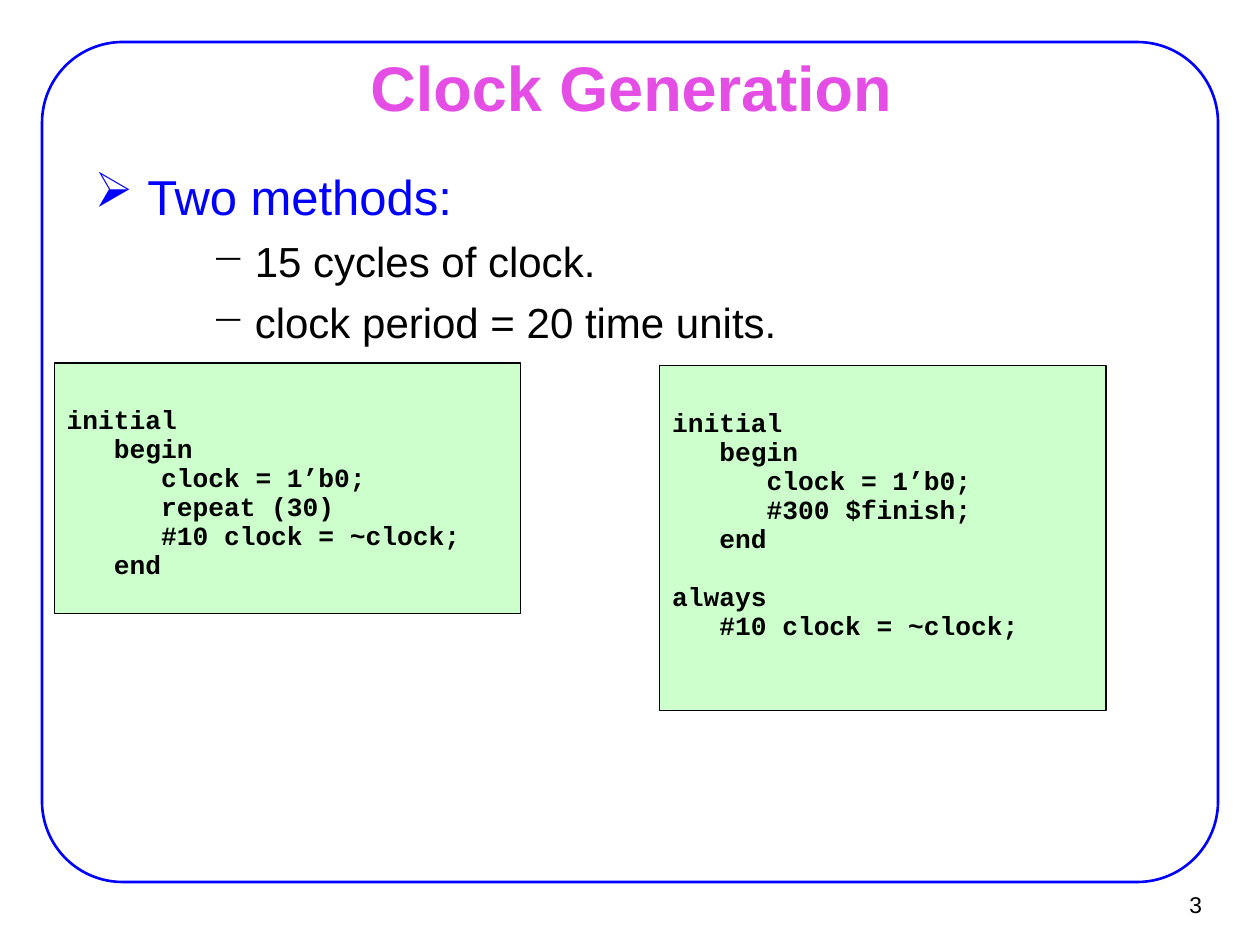
import dataclasses

import lxml.etree
import pptx
import pptx.dml.color
import pptx.enum.shapes
import pptx.enum.text
import pptx.oxml.ns
import pptx.util

Pt = pptx.util.Pt
Align = pptx.enum.text.PP_ALIGN
Anchor = pptx.enum.text.MSO_ANCHOR
Shape = pptx.enum.shapes.MSO_SHAPE


@dataclasses.dataclass(frozen=True)
class Theme:
    """Colours, fonts and type sizes of the slide."""
    frame: str = "0000FF"
    title: str = "E44EE4"
    heading: str = "0000FF"
    text: str = "000000"
    code_fill: str = "CCFFCC"
    sans: str = "Arial"
    mono: str = "Courier New"
    title_size: float = 36
    heading_size: float = 28
    item_size: float = 24
    code_size: float = 15
    number_size: float = 13
    code_leading: float = 16.57
    code_indent: float = 27


THEME = Theme()


def rgb(value):
    """Return a colour object for a hex string."""
    return pptx.dml.color.RGBColor.from_string(value)


def add_run(paragraph, text, size, color, font=THEME.sans, bold=False):
    """Append one formatted run to a paragraph."""
    run = paragraph.add_run()
    run.text = text
    run.font.name = font
    run.font.size = Pt(size)
    run.font.bold = bold
    run.font.color.rgb = rgb(color)


def set_frame(shape, insets, anchor, wrap=True):
    """Set insets, anchor and wrapping, and return the text frame."""
    frame = shape.text_frame
    frame.word_wrap = wrap
    frame.auto_size = pptx.enum.text.MSO_AUTO_SIZE.NONE
    frame.vertical_anchor = anchor
    frame.margin_left = frame.margin_right = Pt(insets[0])
    frame.margin_top = frame.margin_bottom = Pt(insets[1])
    return frame


def set_indent(paragraph, left, hanging=0, bullet=None):
    """Set the left indent, the hanging indent and the bullet."""
    properties = paragraph._p.get_or_add_pPr()
    properties.set("marL", str(Pt(left)))
    properties.set("indent", str(-Pt(hanging)))
    if bullet:
        mark = lxml.etree.SubElement(properties, pptx.oxml.ns.qn("a:buChar"))
        mark.set("char", bullet)


def next_paragraph(frame, index):
    """Return the first paragraph, or a new one after it."""
    return frame.add_paragraph() if index else frame.paragraphs[0]


def add_box(slide, kind, bounds, line_width, line_color, fill=None):
    """Add an outlined preset shape without a shadow."""
    shape = slide.shapes.add_shape(kind, *map(Pt, bounds))
    shape.shadow.inherit = False
    shape.line.width = Pt(line_width)
    shape.line.color.rgb = rgb(line_color)
    if fill:
        shape.fill.solid()
        shape.fill.fore_color.rgb = rgb(fill)
    else:
        shape.fill.background()
    return shape


def set_title(slide, text, bounds):
    """Place and format the title placeholder."""
    title = slide.shapes.title
    title.left, title.top, title.width, title.height = map(Pt, bounds)
    paragraph = set_frame(title, (7.9, 4.3), Anchor.MIDDLE).paragraphs[0]
    paragraph.alignment = Align.CENTER
    add_run(paragraph, text, THEME.title_size, THEME.title, bold=True)


def add_outline(slide, heading, items, bounds):
    """Add a bulleted heading with its dashed items."""
    box = slide.shapes.add_textbox(*map(Pt, bounds))
    frame = set_frame(box, (7.9, 6.6), Anchor.TOP)
    paragraph = frame.paragraphs[0]
    set_indent(paragraph, 39.6, 30.2, "➢")
    add_run(paragraph, heading, THEME.heading_size, THEME.heading)
    for item in items:
        paragraph = frame.add_paragraph()
        paragraph.level = 1
        paragraph.space_before = Pt(6)
        set_indent(paragraph, 101, 24.7, "−")
        add_run(paragraph, item, THEME.item_size, THEME.text)


def add_code(slide, blocks, bounds):
    """Add a code panel; each line is a pair of depth and text."""
    panel = add_box(slide, Shape.RECTANGLE, bounds, 0.75, THEME.text, THEME.code_fill)
    frame = set_frame(panel, (7.2, 3.6), Anchor.TOP)
    frame.margin_top = Pt(24.6)
    lines = [(number, row, *line) for number, block in enumerate(blocks)
             for row, line in enumerate(block)]
    for index, (number, row, depth, text) in enumerate(lines):
        paragraph = next_paragraph(frame, index)
        paragraph.alignment = Align.LEFT
        paragraph.line_spacing = Pt(THEME.code_leading)
        if number and not row:
            paragraph.space_before = Pt(THEME.code_leading)
        set_indent(paragraph, depth * THEME.code_indent)
        add_run(paragraph, text, THEME.code_size, THEME.text, THEME.mono, True)


def add_page_number(slide, text, bounds):
    """Add the right-aligned page number."""
    box = slide.shapes.add_textbox(*map(Pt, bounds))
    paragraph = set_frame(box, (6.5, 2.9), Anchor.MIDDLE, False).paragraphs[0]
    paragraph.alignment = Align.RIGHT
    add_run(paragraph, text, THEME.number_size, THEME.text)


def main():
    """Build the clock generation slide and save it."""
    presentation = pptx.Presentation()
    presentation.slide_width, presentation.slide_height = Pt(720), Pt(540)
    slide = presentation.slides.add_slide(presentation.slide_layouts[5])

    frame = add_box(slide, Shape.ROUNDED_RECTANGLE, (24, 24, 672, 480), 1.5, THEME.frame)
    frame.adjustments[0] = 0.096
    add_page_number(slide, "3", (649.4, 503.3, 44, 26.6))
    set_title(slide, "Clock Generation", (54.7, 31.7, 612, 35.3))
    add_outline(slide, "Two methods:",
                ["15 cycles of clock.", "clock period = 20 time units."],
                (36.7, 88.6, 561.6, 113))

    opening = [(0, "initial"), (1, "begin"), (2, "clock = 1’b0;")]
    toggle = "#10 clock = ~clock;"
    repeat_loop = [opening + [(2, "repeat (30)"), (2, toggle), (1, "end")]]
    always_loop = [opening + [(2, "#300 $finish;"), (1, "end")],
                   [(0, "always"), (1, toggle)]]
    add_code(slide, repeat_loop, (31, 207.4, 266.4, 143.3))
    add_code(slide, always_loop, (377, 208.8, 255, 197.3))

    presentation.save("out.pptx")


main()
